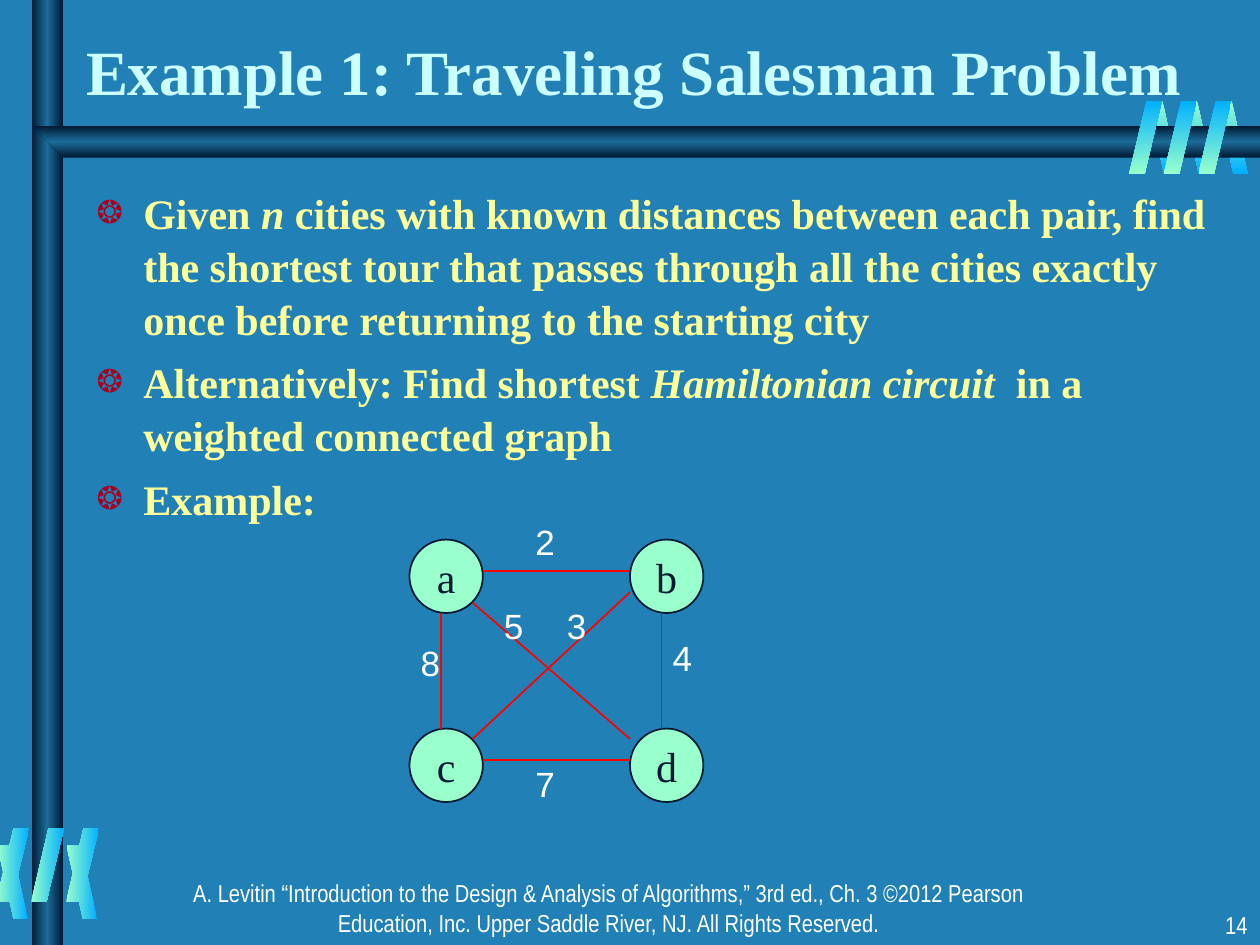
from dataclasses import dataclass

from lxml.etree import SubElement
from pptx import Presentation
from pptx.dml.color import RGBColor
from pptx.enum.shapes import MSO_CONNECTOR, MSO_SHAPE
from pptx.enum.text import MSO_ANCHOR, MSO_AUTO_SIZE, PP_ALIGN
from pptx.oxml.ns import qn
from pptx.util import Inches, Pt

COLUMNS, ROWS = 40, 30
CELL = Inches(10) / COLUMNS
COLORS = {
    "background": "2181B7", "navy": "001932", "steel": "1C6D9A",
    "mint": "99FFCC", "sky": "01B0FF", "title": "CCFFFF",
    "body": "FFFF99", "bullet": "A50021", "edge": "FF0000", "white": "FFFFFF",
}
SERIF, SANS, NARROW = "Times New Roman", "Arial", "Arial Narrow"
BAR = ("navy", "steel", "navy")


@dataclass(frozen=True)
class Area:
    column: float
    row: float
    columns: float
    rows: float

    def lengths(self) -> tuple:
        return tuple(grid(n) for n in (self.column, self.row, self.columns, self.rows))


@dataclass(frozen=True)
class Ribbons:
    column: float
    row: float
    width: float
    step: float
    stops: tuple
    angle: int
    mirrored: bool


@dataclass(frozen=True)
class Node:
    name: str
    column: float
    row: float


@dataclass(frozen=True)
class Edge:
    start: tuple
    end: tuple
    weight: str
    label: tuple


@dataclass(frozen=True)
class Style:
    font: str
    size: int
    color: str
    bold: bool = False


BACK_RIBBONS = [
    Ribbons(36.45, 3.2, 0.96, 1.1, ("mint", "sky"), 90, True),
    Ribbons(-0.08, 26.84, 0.96, 1.1, ("sky", "mint"), 0, True),
]
FRONT_RIBBONS = [
    Ribbons(-0.12, 26.3, 1.04, 1.11, ("mint", "sky"), 0, False),
    Ribbons(35.85, 3.2, 1.04, 1.1, ("sky", "mint"), 90, False),
]
LEFT, RIGHT, TOP, BOTTOM, DIAMETER = 13, 20, 17.13, 23.13, 2.33
NODES = [Node("a", LEFT, TOP), Node("b", RIGHT, TOP),
         Node("c", LEFT, BOTTOM), Node("d", RIGHT, BOTTOM)]
EDGES = [
    Edge((LEFT + DIAMETER, TOP + 1), (RIGHT, TOP + 1), "2", (16.6, 16.32)),
    Edge((LEFT + 1, TOP + DIAMETER), (LEFT + 1, BOTTOM), "8", (12.96, 20.16)),
    Edge((LEFT + DIAMETER, BOTTOM + 1), (RIGHT, BOTTOM + 1), "7", (16.6, 24)),
    Edge((RIGHT + 1, TOP + DIAMETER), (RIGHT + 1, BOTTOM), "4", (20.96, 20)),
    Edge((LEFT + 2, TOP + 2), (RIGHT, BOTTOM + 0.33), "5", (15.6, 19)),
    Edge((RIGHT, TOP + 1.67), (LEFT + 2, BOTTOM + 0.33), "3", (17.6, 19)),
]
TITLE_STYLE = Style(SERIF, 36, "title", True)
BODY_STYLE = Style(SERIF, 24, "body", True)
NODE_STYLE = Style(SERIF, 24, "navy")
WEIGHT_STYLE = Style(SANS, 20, "white")
FOOTER_STYLE = Style(NARROW, 14, "white")
POINTS = [
    [("Given ", False), ("n", True),
     (" cities with known distances between each pair, find the shortest tour "
      "that passes through all the cities exactly once before returning to "
      "the starting city", False)],
    [("Alternatively: Find shortest ", False), ("Hamiltonian circuit", True),
     ("  in a weighted connected graph", False)],
    [("Example:", False)],
]
FOOTER = ("A. Levitin “Introduction to the Design & Analysis of Algorithms,” "
          "3rd ed., Ch. 3 ©2012 Pearson Education, Inc. Upper Saddle River, NJ. "
          "All Rights Reserved.")


def grid(cells: float) -> int:
    return round(cells * CELL)


def rgb(name: str) -> RGBColor:
    return RGBColor.from_string(COLORS[name])


def paint_gradient(shape, stops: tuple, angle: int) -> None:
    shape.shadow.inherit = False
    shape.line.fill.background()
    shape.fill.gradient()
    shape.fill.gradient_angle = (360 - angle) % 360
    stop_list = shape._element.spPr.find(".//" + qn("a:gsLst"))
    for stop in list(stop_list):
        stop_list.remove(stop)
    for index, name in enumerate(stops):
        stop = SubElement(stop_list, qn("a:gs"), pos=str(100000 * index // (len(stops) - 1)))
        SubElement(stop, qn("a:srgbClr"), val=COLORS[name])


def draw_ribbons(page, ribbons: Ribbons) -> None:
    for index in range(3):
        area = Area(ribbons.column + index * ribbons.step, ribbons.row, ribbons.width, 2.32)
        shape = page.shapes.add_shape(MSO_SHAPE.PARALLELOGRAM, *area.lengths())
        shape.adjustments[0] = 0.53
        paint_gradient(shape, ribbons.stops, ribbons.angle)
        if ribbons.mirrored:
            shape._element.spPr.find(qn("a:xfrm")).set("flipH", "1")


def draw_bars(page) -> None:
    column_bar = page.shapes.add_shape(MSO_SHAPE.RECTANGLE, *Area(1, 0, 1, ROWS).lengths())
    paint_gradient(column_bar, BAR, 0)
    builder = page.shapes.build_freeform(COLUMNS, 4, scale=CELL)
    builder.add_line_segments([(2, 4), (1.32, 4.5), (2, 5), (COLUMNS, 5)], close=True)
    paint_gradient(builder.convert_to_shape(), BAR, 90)


def add_span(para, text: str, style: Style, italic: bool = False) -> None:
    span = para.add_run()
    span.text = text
    span.font.name = style.font
    span.font.size = Pt(style.size)
    span.font.bold = style.bold
    span.font.italic = italic
    span.font.color.rgb = rgb(style.color)


def write_line(box, text: str, style: Style, align, wrap: bool = True) -> None:
    box.text_frame.word_wrap = wrap
    para = box.text_frame.paragraphs[0]
    para.alignment = align
    add_span(para, text, style)


def add_label(page, area: Area, text: str, style: Style, align, wrap: bool = True) -> None:
    write_line(page.shapes.add_textbox(*area.lengths()), text, style, align, wrap)


def place(box, area: Area, anchor) -> None:
    box.left, box.top, box.width, box.height = area.lengths()
    box.text_frame.auto_size = MSO_AUTO_SIZE.NONE
    box.text_frame.vertical_anchor = anchor


def add_bullet(para) -> None:
    properties = para._p.get_or_add_pPr()
    indent = Inches(0.37)
    properties.set("marL", str(indent))
    properties.set("indent", str(-indent))
    SubElement(SubElement(properties, qn("a:buClr")), qn("a:srgbClr"), val=COLORS["bullet"])
    SubElement(properties, qn("a:buSzPct"), val="75000")
    SubElement(properties, qn("a:buChar"), char="❂")


def write_points(box) -> None:
    frame = box.text_frame
    frame.word_wrap = True
    for index, spans in enumerate(POINTS):
        para = frame.add_paragraph() if index else frame.paragraphs[0]
        add_bullet(para)
        para.line_spacing = 1.05
        para.space_before = Pt(6 if index else 0)
        for text, italic in spans:
            add_span(para, text, BODY_STYLE, italic)


def draw_node(page, node: Node) -> None:
    area = Area(node.column, node.row, DIAMETER, DIAMETER)
    circle = page.shapes.add_shape(MSO_SHAPE.OVAL, *area.lengths())
    circle.shadow.inherit = False
    circle.fill.solid()
    circle.fill.fore_color.rgb = rgb("mint")
    circle.line.color.rgb = rgb("navy")
    circle.line.width = Pt(1)
    circle.text_frame.vertical_anchor = MSO_ANCHOR.MIDDLE
    write_line(circle, node.name, NODE_STYLE, PP_ALIGN.CENTER, False)


def draw_edge(page, edge: Edge) -> None:
    ends = [grid(value) for value in edge.start + edge.end]
    line = page.shapes.add_connector(MSO_CONNECTOR.STRAIGHT, *ends)
    line.line.color.rgb = rgb("edge")
    line.line.width = Pt(1)
    SubElement(line._element.spPr, qn("a:effectLst"))


def main() -> None:
    deck = Presentation()
    deck.slide_width, deck.slide_height = grid(COLUMNS), grid(ROWS)
    page = deck.slides.add_slide(deck.slide_layouts[1])
    page.background.fill.solid()
    page.background.fill.fore_color.rgb = rgb("background")

    for ribbons in BACK_RIBBONS:
        draw_ribbons(page, ribbons)
    draw_bars(page)
    for ribbons in FRONT_RIBBONS:
        draw_ribbons(page, ribbons)

    title, body = page.shapes.title, page.placeholders[1]
    for box in (title, body):
        page.shapes._spTree.append(box._element)
    place(title, Area(2.33, 0.64, 37.67, 3), MSO_ANCHOR.BOTTOM)
    write_line(title, "Example 1: Traveling Salesman Problem", TITLE_STYLE, PP_ALIGN.LEFT)
    place(body, Area(2.67, 5.68, 36.33, 21.44), MSO_ANCHOR.TOP)
    write_points(body)

    add_label(page, Area(5.33, 27.68, 28, 1.32), FOOTER, FOOTER_STYLE, PP_ALIGN.CENTER)
    add_label(page, Area(31.67, 28.68, 8.33, 1.32), "14", FOOTER_STYLE, PP_ALIGN.RIGHT)
    for node in NODES:
        draw_node(page, node)
    for edge in EDGES:
        draw_edge(page, edge)
    for edge in EDGES:
        add_label(page, Area(*edge.label, 1.4, 1.76), edge.weight, WEIGHT_STYLE,
                  PP_ALIGN.CENTER, False)
    deck.save("out.pptx")


if __name__ == "__main__":
    main()
